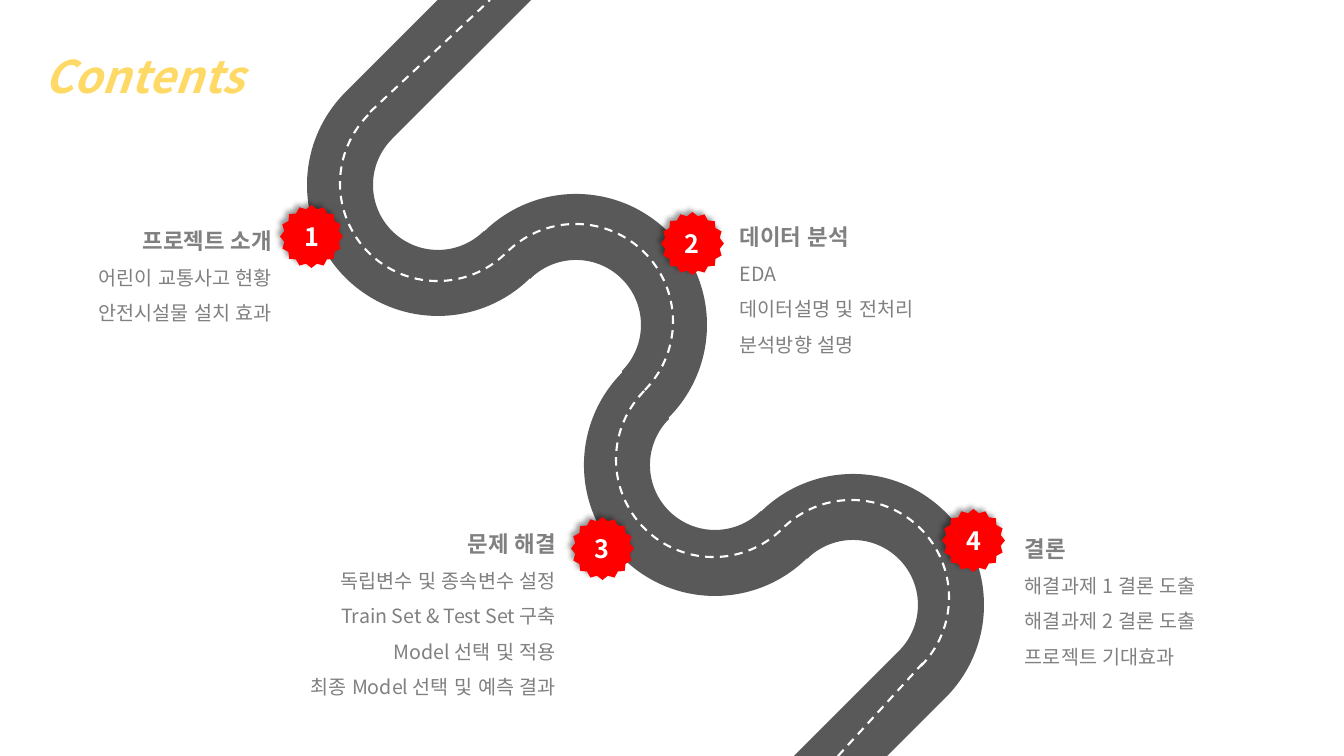
from math import cos, radians, sin, tan

from lxml.etree import SubElement
from pptx import Presentation
from pptx.dml.color import RGBColor
from pptx.enum.dml import MSO_LINE
from pptx.enum.lang import MSO_LANGUAGE_ID
from pptx.enum.shapes import MSO_CONNECTOR, MSO_SHAPE
from pptx.enum.text import MSO_ANCHOR, MSO_AUTO_SIZE, PP_ALIGN
from pptx.oxml.ns import qn
from pptx.util import Pt

FONT = "Noto Sans CJK KR"
COLORS = {"title": "FFD966", "road": "595959", "dash": "FFFFFF", "badge": "FF0000",
          "number": "FFFFFF", "text": "808080", "shadow": "000000"}
FORMATS = {
    "title": {"size": Pt(32), "bold": True, "italic": True},
    "heading": {"size": Pt(16), "bold": True},
    "item": {"size": Pt(14), "bold": False},
    "number": {"size": Pt(18), "bold": True},
}
LEFT, RIGHT, CENTER = PP_ALIGN.LEFT, PP_ALIGN.RIGHT, PP_ALIGN.CENTER

TITLE = "Contents"
TITLE_BOX = (34, 17, 542, 81)
SECTIONS = [
    {"badge": (280, 205), "box": (-24, 209, 306, 118), "align": RIGHT,
     "lines": ["프로젝트 소개", "어린이 교통사고 현황", "안전시설물 설치 효과"]},
    {"badge": (661, 212), "box": (730, 205, 305, 153), "align": LEFT,
     "lines": ["데이터 분석", "EDA", "데이터설명 및 전처리", "분석방향 설명"]},
    {"badge": (571, 517), "box": (274, 512, 292, 188), "align": RIGHT,
     "lines": ["문제 해결", "독립변수 및 종속변수 설정", "Train Set & Test Set 구축",
               "Model 선택 및 적용", "최종 Model 선택 및 예측 결과"]},
    {"badge": (942, 509), "box": (1015, 517, 298, 153), "align": LEFT,
     "lines": ["결론", "해결과제 1 결론 도출", "해결과제 2 결론 도출", "프로젝트 기대효과"]},
]

SLIDE_W, SLIDE_H = 1344, 756
BADGE = 63
BENDS = [(438, 185), (576, 325), (715, 465), (853, 605)]
OUTER, INNER = 131, 65
BEND_TURNS = (0, 45, 135, 180)
DASH_START, DASH_STEP, DASH_SIZE = (340, 86), 138, 195
DASH_LINES = [(370, 112, 490, 0), (838, 756, 923, 663)]
PX = 914400 / 100.8


def emu(*lengths):
    return [round(n * PX) for n in lengths]


def rgb(name):
    return RGBColor.from_string(COLORS[name])


def write(p, text, style, color, align):
    p.alignment = align
    r = p.add_run()
    r.text = text
    for name, value in FORMATS[style].items():
        setattr(r.font, name, value)
    r.font.language_id = MSO_LANGUAGE_ID.KOREAN
    r.font.color.rgb = rgb(color)
    r.font.name = FONT
    SubElement(r.font._element, qn("a:ea"), typeface=FONT)


def set_frame(tf):
    tf.word_wrap = True
    tf.auto_size = MSO_AUTO_SIZE.SHAPE_TO_FIT_TEXT
    tf.vertical_anchor = MSO_ANCHOR.TOP


def set_dash(line):
    line.color.rgb = rgb("dash")
    line.width = Pt(1.5)
    line.dash_style = MSO_LINE.DASH


def bend_curves(center, radius, direction):
    def point(angle, pull=0):
        a = radians(angle)
        return (center[0] + radius * (cos(a) - pull * sin(a)),
                center[1] + radius * (sin(a) + pull * cos(a)))

    angles = [225 + direction * turn for turn in BEND_TURNS]
    curves = []
    for a, b in zip(angles, angles[1:]):
        pull = 4 / 3 * tan(radians(b - a) / 4)
        curves.append([point(a, pull), point(b, -pull), point(b)])
    return point(angles[0]), curves


def road_edge(radii):
    nodes, curves = [], []
    for i, center in enumerate(BENDS):
        first, parts = bend_curves(center, radii[i % 2], 1 if i % 2 else -1)
        nodes.append([first])
        nodes.extend(parts)
    start, end = sum(nodes[0][-1]), sum(nodes[-1][-1])
    return [[(start, 0)], *nodes, [(end - SLIDE_H, SLIDE_H)]]


def reverse_edge(edge):
    back = [[edge[-1][-1]]]
    for before, step in zip(edge[-2::-1], edge[:0:-1]):
        back.append([*step[-2::-1], before[-1]])
    return back


def add_road(s):
    steps = road_edge((OUTER, INNER)) + reverse_edge(road_edge((INNER, OUTER)))
    steps = [[emu(*point) for point in step] for step in steps]
    builder = s.shapes.build_freeform(*steps[0][-1], scale=1.0)
    builder.add_line_segments([step[-1] for step in steps[1:]], close=True)
    road = builder.convert_to_shape()
    for line, step in zip(list(road._element.iter(qn("a:lnTo"))), steps[1:]):
        if len(step) == 3:
            curve = line.makeelement(qn("a:cubicBezTo"))
            for x, y in step:
                SubElement(curve, qn("a:pt"), x=str(x - road.left), y=str(y - road.top))
            line.getparent().replace(line, curve)
    road.shadow.inherit = False
    road.fill.solid()
    road.fill.fore_color.rgb = rgb("road")
    road.line.fill.background()


def add_center_line(s):
    for i in range(len(BENDS)):
        x, y = (n + i * DASH_STEP for n in DASH_START)
        arc = s.shapes.add_shape(MSO_SHAPE.ARC, *emu(x, y, DASH_SIZE, DASH_SIZE))
        arc.adjustments[0], arc.adjustments[1] = 108.2, 0
        arc.rotation = 45 if i % 2 else 225
        arc._element.spPr.find(qn("a:xfrm")).set("flipH", "1")
        arc.shadow.inherit = False
        arc.fill.background()
        set_dash(arc.line)
    for ends in DASH_LINES:
        c = s.shapes.add_connector(MSO_CONNECTOR.STRAIGHT, *emu(*ends))
        set_dash(c.line)
        SubElement(c._element.spPr, qn("a:effectLst"))


def add_badge(s, number, place):
    sp = s.shapes.add_shape(MSO_SHAPE.STAR_16_POINT, *emu(*place, BADGE, BADGE))
    sp.adjustments[0] = 0.44
    sp.fill.solid()
    sp.fill.fore_color.rgb = rgb("badge")
    sp.line.fill.background()
    sp.shadow.inherit = False
    effects = sp._element.spPr.find(qn("a:effectLst"))
    shadow = SubElement(effects, qn("a:outerShdw"), blurRad=str(Pt(4)), dist=str(Pt(3)),
                        dir=str(225 * 60000), algn="br", rotWithShape="0")
    color = SubElement(shadow, qn("a:srgbClr"), val=COLORS["shadow"])
    SubElement(color, qn("a:alpha"), val="40000")
    tf = sp.text_frame
    tf.vertical_anchor = MSO_ANCHOR.MIDDLE
    write(tf.paragraphs[0], str(number), "number", "number", CENTER)


def add_section(s, section):
    tf = s.shapes.add_textbox(*emu(*section["box"])).text_frame
    set_frame(tf)
    for i, line in enumerate(section["lines"]):
        p = tf.add_paragraph() if i else tf.paragraphs[0]
        p.line_spacing = 1.5
        write(p, line, "item" if i else "heading", "text", section["align"])


def main():
    prs = Presentation()
    prs.slide_width, prs.slide_height = emu(SLIDE_W, SLIDE_H)
    s = prs.slides.add_slide(prs.slide_layouts[5])
    title = s.shapes.title
    title.left, title.top, title.width, title.height = emu(*TITLE_BOX)
    set_frame(title.text_frame)
    p = title.text_frame.paragraphs[0]
    p.line_spacing = 1.5
    write(p, TITLE, "title", "title", LEFT)
    add_road(s)
    add_center_line(s)
    for number, section in enumerate(SECTIONS, 1):
        add_section(s, section)
        add_badge(s, number, section["badge"])
    prs.save("out.pptx")


if __name__ == "__main__":
    main()
